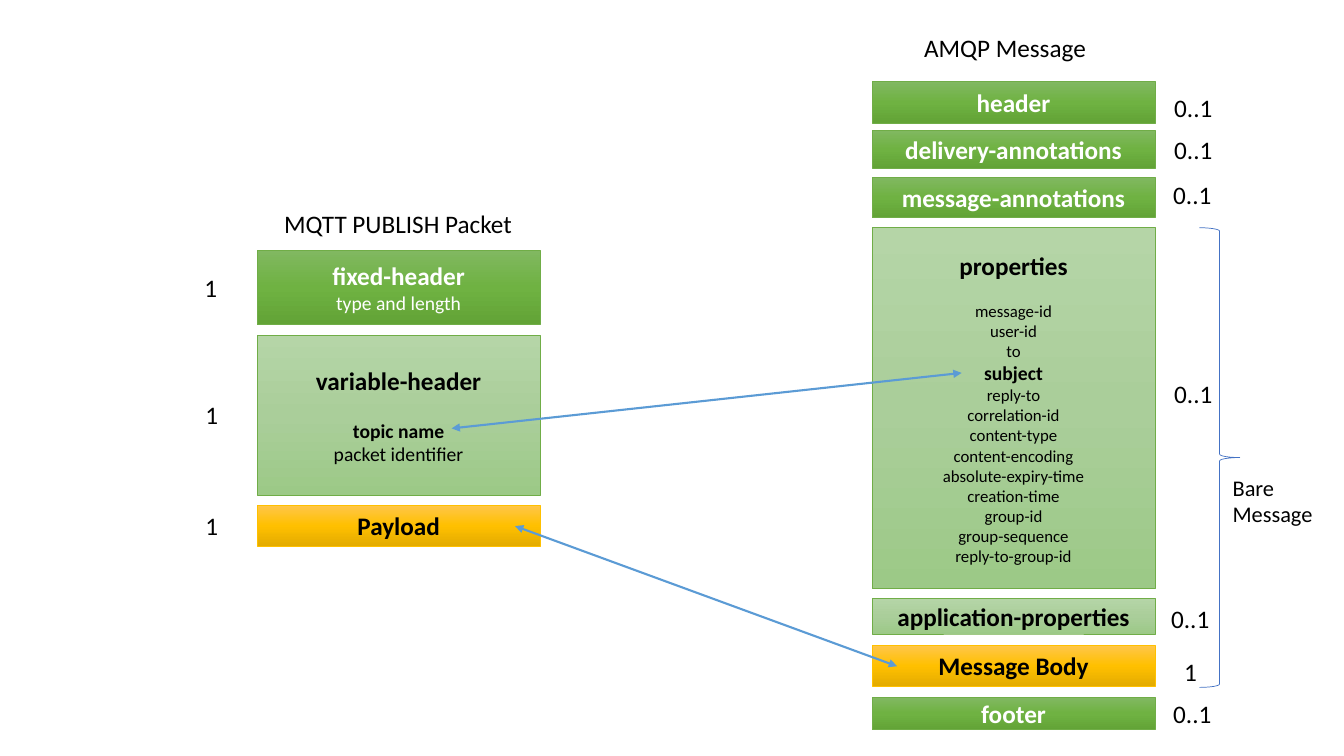
from copy import deepcopy
from lxml import etree
from pptx import Presentation
from pptx.dml.color import RGBColor
from pptx.enum.shapes import MSO_CONNECTOR as CONN, MSO_SHAPE as SHAPE
from pptx.enum.text import MSO_ANCHOR as ANCHOR, MSO_AUTO_SIZE as AUTO, PP_ALIGN as ALIGN
from pptx.oxml.ns import qn
from pptx.util import Pt

FONT = "Calibri"
COLORS = {"black": "000000", "white": "FFFFFF", "brace": "4472C4", "arrow": "5B9BD5"}

# Box styles: gradient from top to bottom, outline, text colour
STYLES = {
    "green": (("81B861", "6FB242", "62A336"), "70AD47", "white"),
    "light": (("B5D5A7", "AACE9A", "9CC987"), "70AD47", "black"),
    "gold": (("FFC64B", "FFC000", "E3AB00"), "FFC000", "black"),
}

# Detail lines inside a box: text, size, bold
FIXED_HEADER = [("type and length", 14, False)]
VARIABLE_HEADER = [("topic name", 14, True), ("packet identifier", 14, False)]
PROPERTIES = [
    ("message-id", 12, False), ("user-id", 12, False), ("to", 12, False),
    ("subject", 14, True), ("reply-to", 12, False), ("correlation-id", 12, False),
    ("content-type", 12, False), ("content-encoding", 12, False),
    ("absolute-expiry-time", 12, False), ("creation-time", 12, False),
    ("group-id", 12, False), ("group-sequence", 12, False),
    ("reply-to-group-id", 12, False),
]

# Boxes: heading, style, top, height, details, gap below heading,
# multiplicity, its left and top
MQTT = [
    ("fixed-header", "green", 178.6, 53.3, FIXED_HEADER, 0, "1", 139, 190.8),
    ("variable-header", "light", 239.8, 113.8, VARIABLE_HEADER, 16.5, "1", 139.7, 281.5),
    ("Payload", "gold", 360.7, 29.5, [], 0, "1", 139.7, 360.7),
]
AMQP = [
    ("header", "green", 58.3, 29.5, [], 0, "0..1", 831.6, 62.6),
    ("delivery-annotations", "green", 92.9, 27.4, [], 0, "0..1", 831.6, 92.2),
    ("message-annotations", "green", 126.7, 28.8, [], 0, "0..1", 830.9, 124.6),
    ("properties", "light", 162.7, 257.8, PROPERTIES, 14.5, "0..1", 831.6, 266.4),
    ("application-properties", "light", 427.7, 25.2, [], 0, "0..1", 829.4, 427.7),
    ("Message Body", "gold", 460.8, 29.5, [], 0, "1", 838.8, 465.1),
    ("footer", "green", 498.2, 23, [], 0, "0..1", 830.9, 495.4),
]
COLUMNS = [(183.6, MQTT), (622.8, AMQP)]
BOX_W = 202.3
LABEL_W = {"1": 23.8, "0..1": 41.8}

# Free labels: lines, left, top, width, height, size
LABELS = [
    (["MQTT PUBLISH Packet"], 195.8, 145.4, 178.6, 29, 18),
    (["AMQP Message"], 653, 19.4, 131, 29, 18),
    (["Bare", "Message"], 873.4, 334.8, 72, 46, 16),
]
BRACE = (856.8, 162.7, 28.8, 328.3)
ARROWS = [(322.6, 306, 686.9, 266.4), (367.9, 375.8, 640.8, 475.9)]


def rgb(hex_color):
    return RGBColor.from_string(hex_color)


def add_text(tf, text, size=18, bold=False, color="black", align=ALIGN.LEFT,
             gap=0, first=False):
    p = tf.paragraphs[0] if first else tf.add_paragraph()
    p.alignment = align
    p.space_after = Pt(gap)
    r = p.add_run()
    r.text = text
    r.font.name, r.font.size, r.font.bold = FONT, Pt(size), bold
    r.font.color.rgb = rgb(COLORS[color])


def add_label(lines, x, y, w, h, size=18):
    tf = s.shapes.add_textbox(Pt(x), Pt(y), Pt(w), Pt(h)).text_frame
    tf.word_wrap = False
    tf.auto_size = AUTO.SHAPE_TO_FIT_TEXT
    for i, line in enumerate(lines):
        add_text(tf, line, size=size, first=i == 0)


def add_box(x, y, h, style, heading, details, gap):
    stops, outline, color = STYLES[style]
    sp = s.shapes.add_shape(SHAPE.RECTANGLE, Pt(x), Pt(y), Pt(BOX_W), Pt(h))
    sp.shadow.inherit = False
    sp.line.color.rgb = rgb(outline)
    sp.line.width = Pt(0.5)
    # Three gradient stops running downwards
    sp.fill.gradient()
    sp.fill.gradient_angle = 270
    stop_list = sp._element.spPr.find(".//" + qn("a:gsLst"))
    stop_list.insert(1, deepcopy(stop_list[0]))
    for i, stop in enumerate(sp.fill.gradient_stops):
        stop.position = i / 2
        stop.color.rgb = rgb(stops[i])
    tf = sp.text_frame
    tf.word_wrap = True
    tf.vertical_anchor = ANCHOR.MIDDLE
    add_text(tf, heading, bold=True, color=color, align=ALIGN.CENTER, gap=gap, first=True)
    for text, size, bold in details:
        add_text(tf, text, size=size, bold=bold, color=color, align=ALIGN.CENTER)


def add_arrow(x1, y1, x2, y2):
    cx = s.shapes.add_connector(CONN.STRAIGHT, Pt(x1), Pt(y1), Pt(x2), Pt(y2))
    cx.line.color.rgb = rgb(COLORS["arrow"])
    cx.line.width = Pt(1.5)
    for end in ("a:headEnd", "a:tailEnd"):
        etree.SubElement(cx.line._get_or_add_ln(), qn(end), type="triangle")
    etree.SubElement(cx._element.spPr, qn("a:effectLst"))


prs = Presentation()
prs.slide_width, prs.slide_height = Pt(960), Pt(540)
s = prs.slides.add_slide(prs.slide_layouts[6])

# Message sections with their multiplicities
for x, boxes in COLUMNS:
    for heading, style, y, h, details, gap, count, count_x, count_y in boxes:
        add_box(x, y, h, style, heading, details, gap)
        add_label([count], count_x, count_y, LABEL_W[count], 29)

# Titles and bare message brace
for label in LABELS:
    add_label(*label)
brace = s.shapes.add_shape(SHAPE.LEFT_BRACE, *map(Pt, BRACE))
brace._element.spPr.find(qn("a:xfrm")).set("flipH", "1")
brace.shadow.inherit = False
brace.fill.background()
brace.line.color.rgb = rgb(COLORS["brace"])
brace.line.width = Pt(0.5)

# Field mappings
for arrow in ARROWS:
    add_arrow(*arrow)

prs.save("out.pptx")
